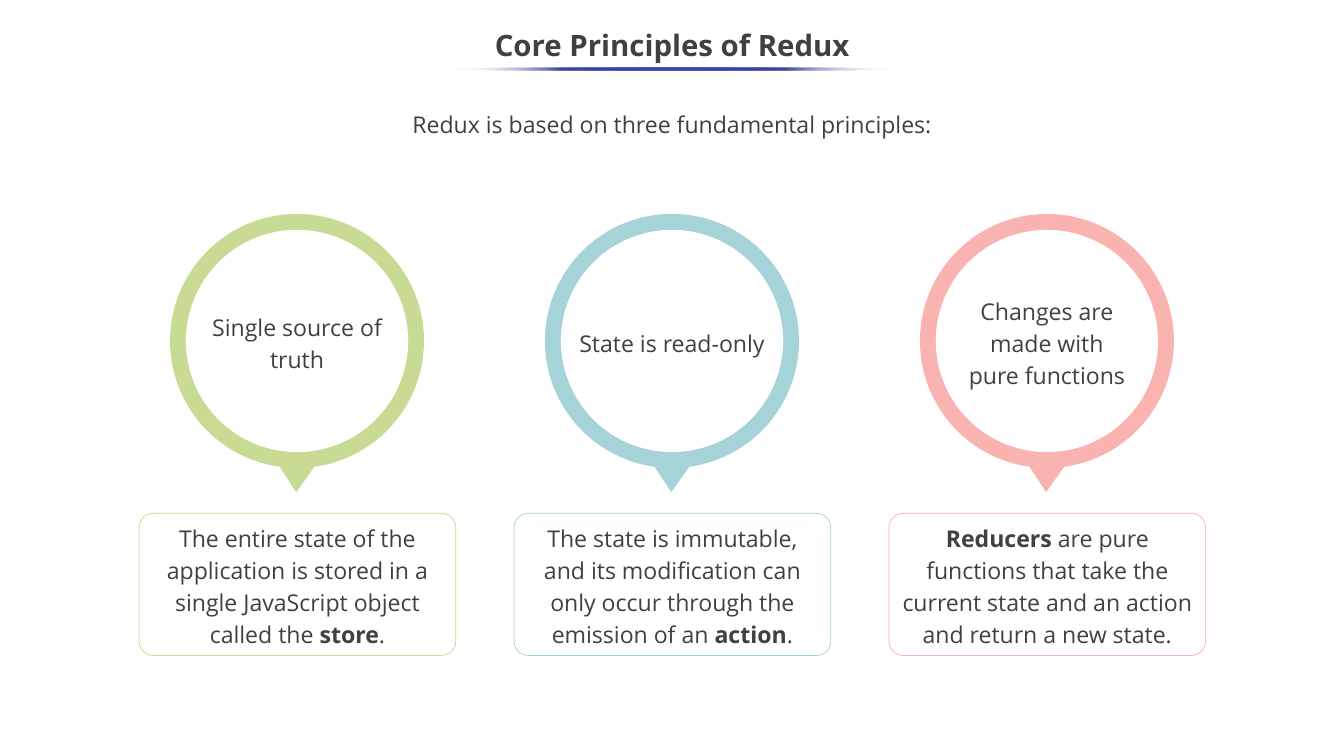
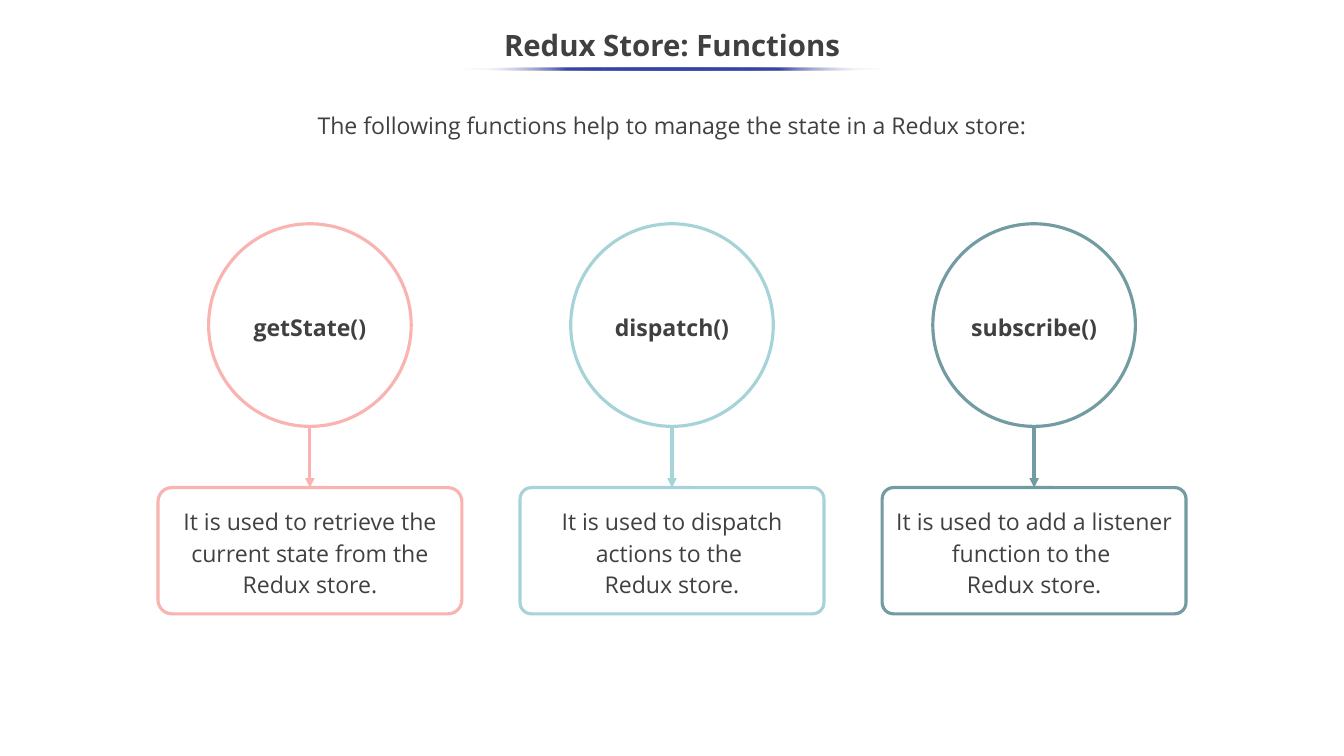
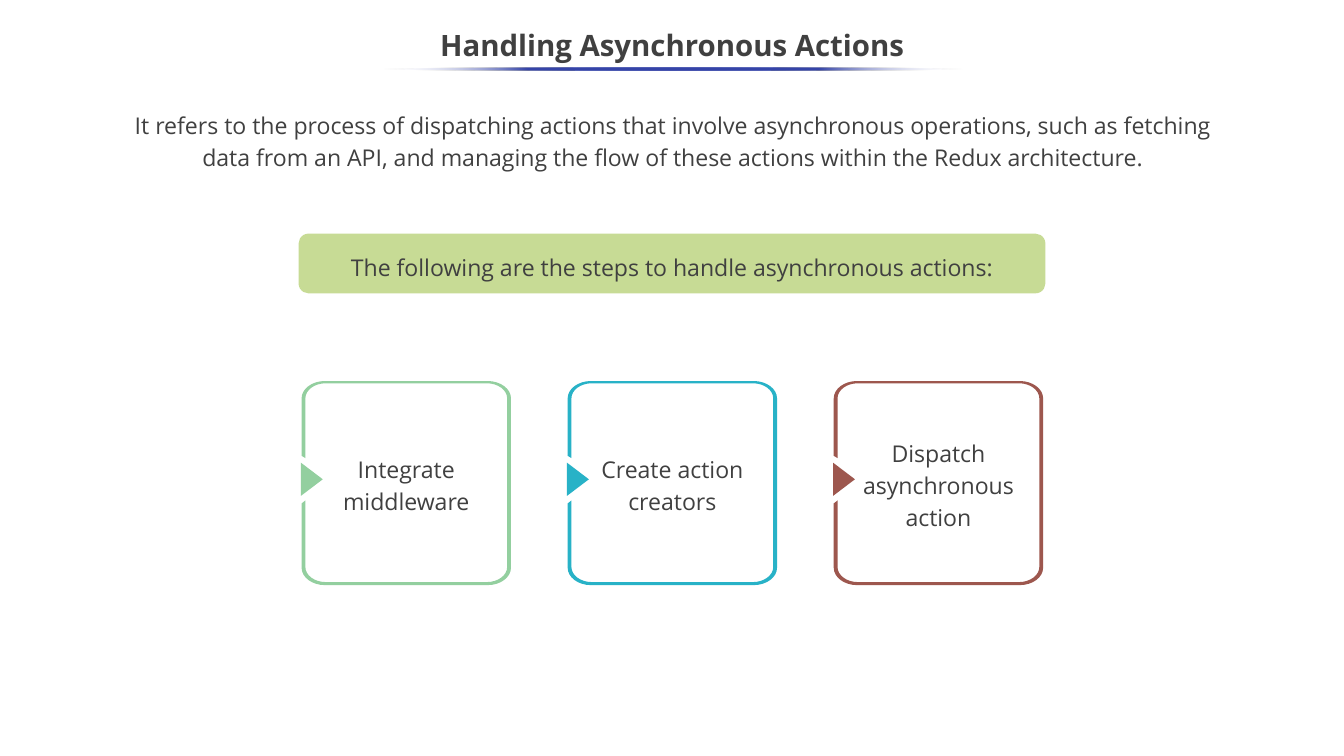
from dataclasses import dataclass
from math import asin, cos, pi, sin, tan

from lxml.etree import SubElement
from pptx import Presentation
from pptx.dml.color import RGBColor
from pptx.enum.shapes import MSO_CONNECTOR, MSO_SHAPE
from pptx.enum.text import MSO_ANCHOR, MSO_AUTO_SIZE, PP_ALIGN
from pptx.oxml.ns import qn
from pptx.util import Emu, Pt

PX_PER_INCH = 100
SCALE = 914400 // PX_PER_INCH
WIDTH, HEIGHT = 1778, 1000
CENTER = WIDTH // 2


@dataclass(frozen=True)
class Theme:
    font: str = "Open Sans"
    text: str = "404040"
    accent: str = "3645A9"
    white: str = "FFFFFF"
    lime: str = "C7DB95"
    aqua: str = "A6D3D8"
    pink: str = "F9B4B1"
    slate: str = "729BA2"
    green: str = "93CF9F"
    cyan: str = "28B2C7"
    brown: str = "9D574E"
    title_size: int = 28
    body_size: int = 22
    title_spacing: float = 0.9
    body_spacing: float = 1.15


THEME = Theme()


def px(value):
    return Emu(round(value * SCALE))


def rgb(value):
    return RGBColor.from_string(value)


def place(s, x, y, w, h):
    s.left, s.top, s.width, s.height = px(x), px(y), px(w), px(h)


def write(s, *paragraphs, size=THEME.body_size, bold=False, inset=5,
          spacing=THEME.body_spacing, anchor=MSO_ANCHOR.MIDDLE):
    tf = s.text_frame
    tf.word_wrap = True
    tf.auto_size = MSO_AUTO_SIZE.NONE
    tf.vertical_anchor = anchor
    tf.margin_left = tf.margin_right = px(10)
    tf.margin_top = tf.margin_bottom = px(inset)
    for i, text in enumerate(paragraphs):
        p = tf.add_paragraph() if i else tf.paragraphs[0]
        p.alignment = PP_ALIGN.CENTER
        p.line_spacing = spacing
        p.space_before = Pt(0)
        for j, part in enumerate(text.split("*")):
            if part:
                r = p.add_run()
                r.text = part
                r.font.name = THEME.font
                r.font.size = Pt(size)
                r.font.bold = bold or j % 2 == 1
                r.font.color.rgb = rgb(THEME.text)


def paint(s, fill=None, line=None, weight=0.75):
    s.shadow.inherit = False
    if fill:
        s.fill.solid()
        s.fill.fore_color.rgb = rgb(fill)
    else:
        s.fill.background()
    if line:
        s.line.color.rgb = rgb(line)
        s.line.width = Pt(weight)
    else:
        s.line.fill.background()


def add_preset(slide, kind, x, y, w, h, corner=None, **style):
    s = slide.shapes.add_shape(kind, px(x), px(y), px(w), px(h))
    if corner is not None:
        s.adjustments[0] = corner
    paint(s, **style)
    return s


def line_to(x, y):
    return [(x, y)]


def arc_to(cx, cy, rx, ry, start, end):
    k = 4 / 3 * tan((end - start) / 4)

    def at(angle, reach):
        return (cx + rx * (cos(angle) - reach * sin(angle)),
                cy + ry * (sin(angle) + reach * cos(angle)))

    return [at(start, k), at(end, -k), at(end, 0)]


def add_outline(slide, segments, fill):
    ends = [(px(x), px(y)) for x, y in (seg[-1] for seg in segments)]
    builder = slide.shapes.build_freeform(*ends[0], scale=1.0)
    builder.add_line_segments(ends[1:], close=True)
    s = builder.convert_to_shape()
    for line, seg in zip(list(s._element.iter(qn("a:lnTo"))), segments[1:]):
        if len(seg) == 3:
            line.tag = qn("a:cubicBezTo")
            line.remove(line[0])
            for x, y in seg:
                SubElement(line, qn("a:pt"), x=str(px(x) - s.left),
                           y=str(px(y) - s.top))
    paint(s, fill=fill)


def add_label(slide, x, y, w, h, *paragraphs):
    s = slide.shapes.add_textbox(px(x), px(y), px(w), px(h))
    write(s, *paragraphs)


def add_underline(slide, width):
    s = add_preset(slide, MSO_SHAPE.OVAL, CENTER + 1 - width / 2, 89, width, 4)
    s.fill.gradient()
    s.fill.gradient_angle = 180
    stops = s._element.spPr.find(qn("a:gradFill")).find(qn("a:gsLst"))
    for stop in list(stops):
        stops.remove(stop)
    for pos in (0, 25, 50, 75, 100):
        faded = pos in (0, 100)
        stop = SubElement(stops, qn("a:gs"), pos=str(pos * 1000))
        color = SubElement(stop, qn("a:srgbClr"),
                           val=THEME.white if faded else THEME.accent)
        if faded:
            SubElement(color, qn("a:alpha"), val="0")


def add_slide(prs, title, intro, underline, intro_box):
    slide = prs.slides.add_slide(prs.slide_layouts[1])
    heading, body = slide.placeholders
    place(heading, -1, 25, 1780, 75)
    write(heading, title, size=THEME.title_size, bold=True,
          spacing=THEME.title_spacing)
    place(body, *intro_box)
    pPr = body.text_frame.paragraphs[0]._p.get_or_add_pPr()
    pPr.set("marL", "0")
    pPr.set("indent", "0")
    SubElement(pPr, qn("a:buNone"))
    write(body, intro, inset=0, anchor=MSO_ANCHOR.TOP)
    add_underline(slide, underline)
    return slide


def add_pin(slide, cx, cy, color, label):
    radius, inner, half_tip = 168, 147, 23
    gap = asin(half_tip / radius)
    angles = [pi / 2 + gap, pi, 3 * pi / 2, 2 * pi, 5 * pi / 2 - gap]
    ring = [arc_to(cx, cy, radius, radius, a, b)
            for a, b in zip(angles, angles[1:])]
    tip = line_to(cx - 1, cy + 200)
    left = line_to(cx - half_tip, cy + radius * cos(gap))
    add_outline(slide, [tip, left] + ring, color)
    add_preset(slide, MSO_SHAPE.OVAL, cx - inner, cy - inner,
               2 * inner, 2 * inner, fill=THEME.white)
    add_label(slide, cx - 135, cy - 67, 270, 135, *label)


def add_function(slide, cx, color, name, corner, description):
    circle = add_preset(slide, MSO_SHAPE.OVAL, cx - 134, 296, 268, 268,
                        line=color, weight=3)
    write(circle, name, bold=True)
    card = add_preset(slide, MSO_SHAPE.ROUNDED_RECTANGLE, cx - 201, 645,
                      402, 167, corner=corner, line=color, weight=3)
    write(card, *description)
    add_arrow(slide, cx, 566, card, color)


def add_arrow(slide, x, y, target, color):
    s = slide.shapes.add_connector(MSO_CONNECTOR.STRAIGHT, px(x), px(y),
                                   px(x), target.top)
    s.end_connect(target, 0)
    s.line.color.rgb = rgb(color)
    s.line.width = Pt(3)
    spPr = s._element.spPr
    SubElement(spPr.find(qn("a:ln")), qn("a:tailEnd"), type="triangle")
    SubElement(spPr, qn("a:effectLst"))


def rounded_outline(x, y, w, h, rx, ry, clockwise=True):
    corners = [(x + rx, y + ry), (x + w - rx, y + ry),
               (x + w - rx, y + h - ry), (x + rx, y + h - ry)]
    turns = [(cx, cy, pi + i * pi / 2, pi + (i + 1) * pi / 2)
             for i, (cx, cy) in enumerate(corners)]
    if not clockwise:
        turns = [(cx, cy, b, a) for cx, cy, a, b in reversed(turns)]
    segments = []
    for cx, cy, a, b in turns:
        segments.append(line_to(cx + rx * cos(a), cy + ry * sin(a)))
        segments.append(arc_to(cx, cy, rx, ry, a, b))
    return segments


def add_step(slide, x, y, color, label):
    outer = rounded_outline(x, y, 277, 270, 31, 23)
    inner = rounded_outline(x + 5, y + 3, 267, 263, 27, 20, clockwise=False)
    frame = ([line_to(x, y + 99)] + outer
             + [line_to(x, y + 162), line_to(x + 5, y + 158)]
             + inner + [line_to(x + 5, y + 102)])
    add_outline(slide, frame, color)
    add_outline(slide, [line_to(x - 1, y + 108), line_to(x - 1, y + 152),
                        line_to(x + 28, y + 130)], color)
    add_label(slide, x + 17, y + 68, 243, 135, label)


def principles(prs):
    slide = add_slide(prs, "Core Principles of Redux",
                      "Redux is based on three fundamental principles:",
                      588, (140, 141, 1498, 51))
    items = [
        (THEME.lime, ["Single source of truth"],
         "The entire state of the application is stored in a single "
         "JavaScript object called the *store*."),
        (THEME.aqua, ["State is read-only"],
         "The state is immutable, and its modification can only occur "
         "through the emission of an *action*."),
        (THEME.pink, ["Changes are", "made with", "pure functions"],
         "*Reducers* are pure functions that take the current state and "
         "an action and return a new state."),
    ]
    for i, (color, label, description) in enumerate(items):
        cx = CENTER + (i - 1) * 496
        add_pin(slide, cx, 451, color, label)
        card = add_preset(slide, MSO_SHAPE.ROUNDED_RECTANGLE, cx - 209, 679,
                          419, 188, corner=0.1, line=color)
        write(card, description)


def store_functions(prs):
    slide = add_slide(prs, "Redux Store: Functions",
                      "The following functions help to manage the state in "
                      "a Redux store:", 557, (140, 142, 1498, 75))
    items = [
        (THEME.pink, "getState()", 0.11,
         ["It is used to retrieve the current state from the Redux store."]),
        (THEME.aqua, "dispatch()", 0.09,
         ["It is used to dispatch actions to the ", "Redux store."]),
        (THEME.slate, "subscribe()", 0.09,
         ["It is used to add a listener function to the ", "Redux store."]),
    ]
    for i, item in enumerate(items):
        add_function(slide, CENTER + (i - 1) * 479, *item)


def asynchronous_actions(prs):
    slide = add_slide(prs, "Handling Asynchronous Actions",
                      "It refers to the process of dispatching actions that "
                      "involve asynchronous operations, such as fetching data "
                      "from an API, and managing the flow of these actions "
                      "within the Redux architecture.", 768,
                      (141, 142, 1498, 99))
    banner = add_preset(slide, MSO_SHAPE.ROUNDED_RECTANGLE, 395, 309, 988, 79,
                        fill=THEME.lime)
    write(banner,
          "The following are the steps to handle asynchronous actions:",
          inset=17, anchor=MSO_ANCHOR.TOP)
    steps = [(THEME.green, "Integrate middleware"),
             (THEME.cyan, "Create action creators"),
             (THEME.brown, "Dispatch asynchronous action")]
    for i, (color, label) in enumerate(steps):
        add_step(slide, 399 + i * 352, 504, color, label)


def main():
    prs = Presentation()
    prs.slide_width, prs.slide_height = px(WIDTH), px(HEIGHT)
    principles(prs)
    store_functions(prs)
    asynchronous_actions(prs)
    prs.save("out.pptx")


if __name__ == "__main__":
    main()
